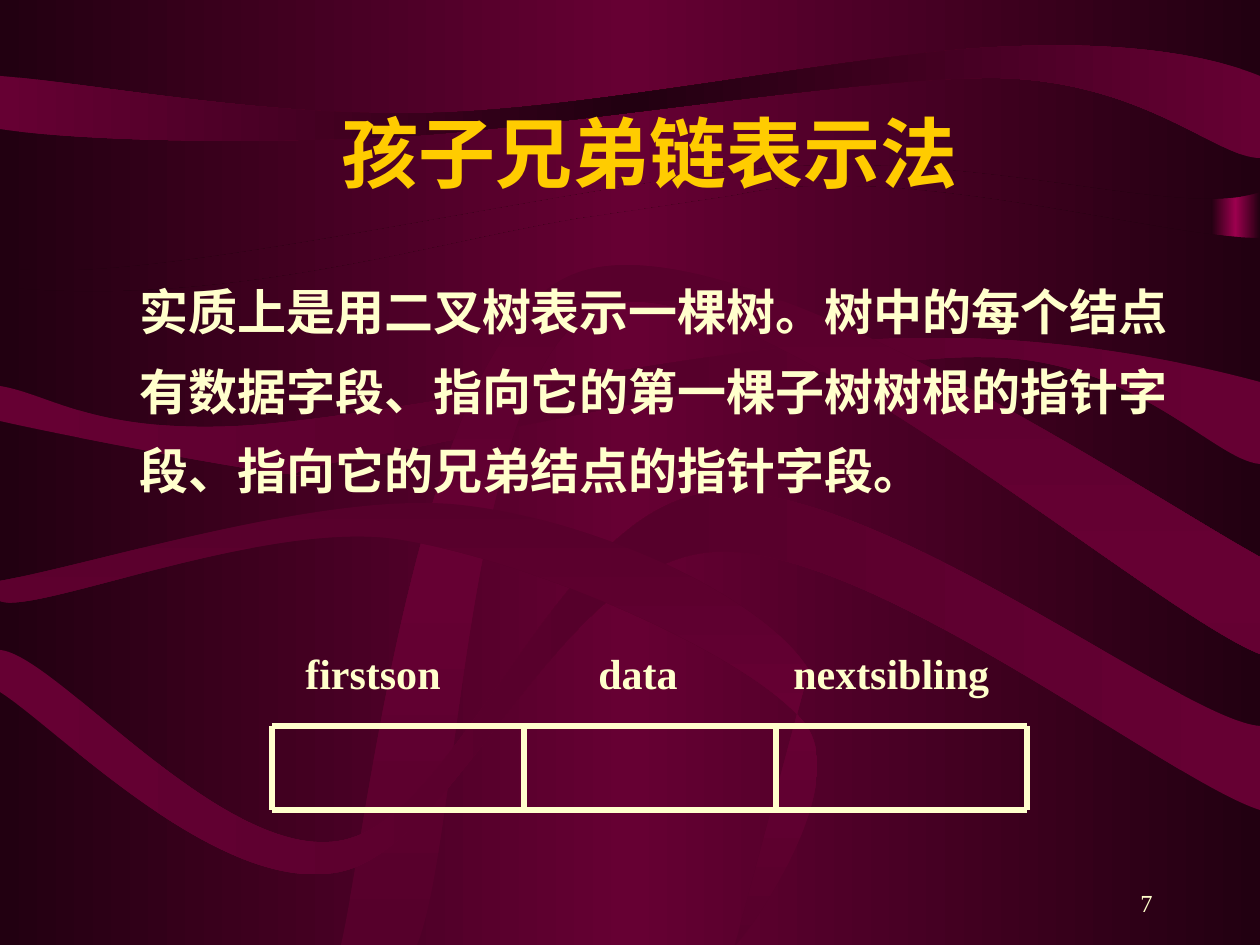
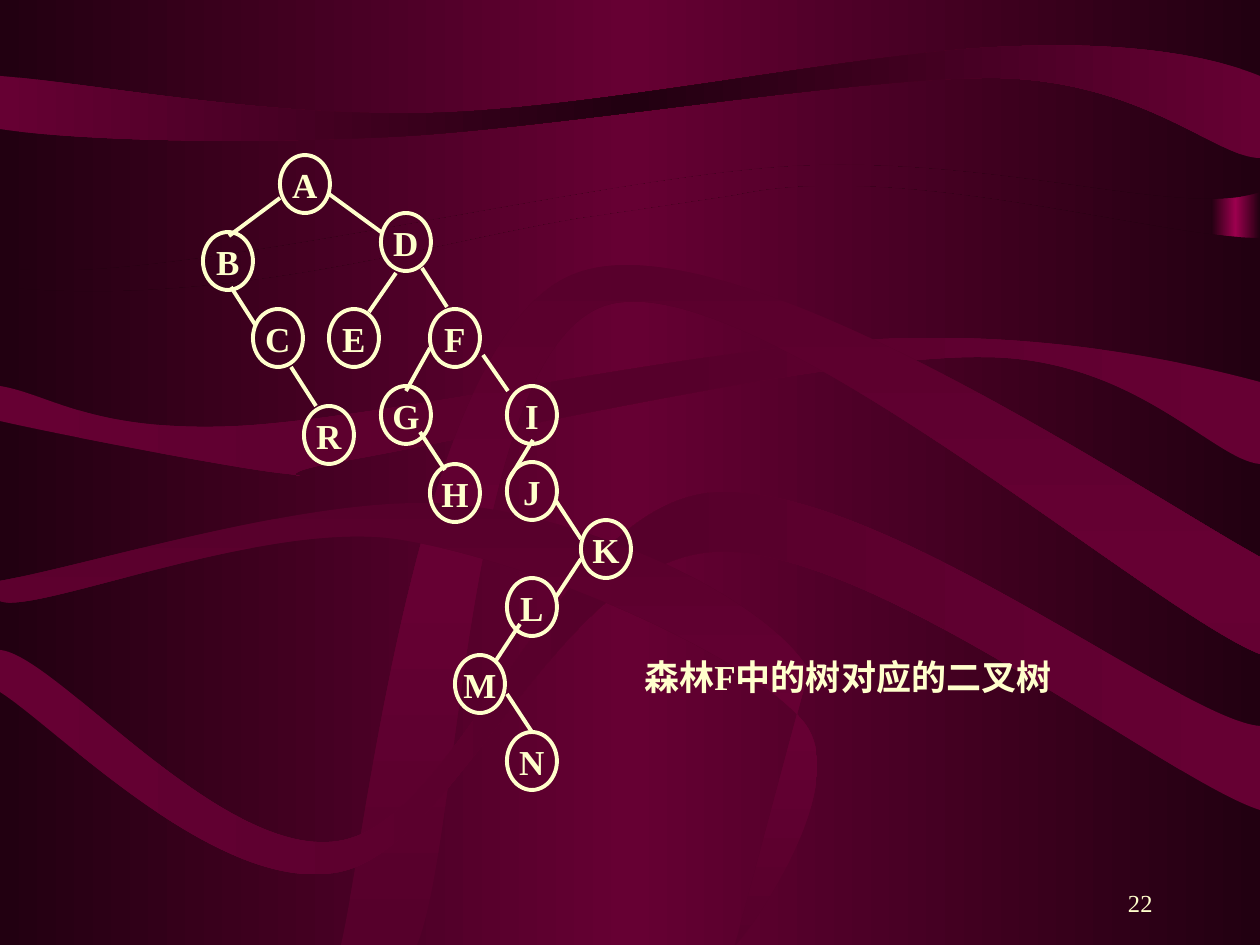
from copy import deepcopy
from itertools import product
from pptx import Presentation, util as u
from pptx.dml.color import RGBColor
from pptx.enum import shapes, text
from pptx.oxml.ns import qn

PX = 914400 / 126
W, H = 1260, 945
CREAM = RGBColor(0xFF, 0xFF, 0xCC)
GOLD = RGBColor(0xFF, 0xCC, 0x00)
DARK = RGBColor(0x22, 0x00, 0x11)
WINE = RGBColor(0x66, 0x00, 0x33)
PLUM = RGBColor(0x56, 0x00, 0x2B)
PINK = RGBColor(0x9C, 0x00, 0x4E)
SERIF, SANS = "Times New Roman", "Arial"

TITLE = "孩子兄弟链表示法"
BODY = ("实质上是用二叉树表示一棵树。树中的每个结点有数据字段、"
        "指向它的第一棵子树树根的指针字段、指向它的兄弟结点的指针字段。")
FIELDS = [("firstson", 21), ("data", 314), ("nextsibling", 509)]
CELL_X = [272, 524, 776, 1027]
CELL_Y = [726, 810]
RULES = [(272, 776), (776, 1027)]

CAPTION = "森林F中的树对应的二叉树"
NODE_W, NODE_H = 50, 58
NODES = {
    "A": (280, 155), "B": (203, 232), "C": (253, 309), "R": (304, 406),
    "F": (430, 309), "G": (381, 386), "H": (430, 464), "D": (381, 213),
    "E": (329, 309), "I": (507, 386), "J": (507, 462), "K": (581, 520),
    "L": (507, 578), "M": (455, 655), "N": (507, 732),
}
EDGES = [
    (280, 198, 229, 236), (430, 348, 406, 391), (396, 273, 369, 312),
    (533, 440, 508, 481), (231, 287, 256, 326), (291, 367, 316, 406),
    (420, 432, 445, 470), (556, 501, 581, 539), (581, 559, 556, 597),
    (520, 624, 495, 662), (507, 694, 532, 732), (329, 194, 381, 232),
    (422, 268, 447, 307), (483, 355, 508, 391),
]

GLOW = (1211, 62, 49, 435)
RIBBONS = [
    (DARK, WINE, 0, [(0, 0), (W, 0), (W, 192), (1182, 219, 998, 154, 788, 166),
                     (577, 179, 131, 294, 0, 266)]),
    (DARK, WINE, 0, [(0, 287), (224, 309, 428, 244, 577, 219),
                     (577, 219, 714, 199, 738, 195),
                     (901, 160, 1155, 238, W, 238), (W, H), (0, H)]),
    (WINE, DARK, 0, [(0, 76), (0, 129), (64, 139, 222, 145, 388, 137),
                     (554, 129, 856, 76, 1000, 78), (1145, 82, 1217, 158, W, 158),
                     (W, 76), (1216, 58, 1135, 40, 998, 47),
                     (859, 53, 601, 108, 435, 113), (268, 118, 91, 83, 0, 76)]),
    (WINE, PLUM, 0, [(0, 386), (0, 421), (47, 432, 221, 466, 280, 473),
                     (339, 479, 239, 478, 355, 459), (473, 438, 832, 355, 983, 357),
                     (1134, 357, 1213, 460, W, 464), (W, 382),
                     (1197, 365, 1053, 331, 883, 339),
                     (713, 345, 387, 418, 239, 426), (92, 433, 50, 394, 0, 386)]),
    (PLUM, WINE, 90, [(341, H), (367, 833, 418, 339, 572, 275),
                      (725, 209, 1145, 494, W, 557), (W, 654),
                      (1150, 611, 745, 258, 604, 306), (464, 355, 461, 839, 417, H)]),
    (WINE, PLUM, 0, [(0, 650), (0, 692), (57, 728, 219, 896, 339, 872),
                     (457, 849, 558, 562, 712, 552), (866, 541, 1168, 781, W, 810),
                     (W, 726), (1182, 721, 871, 475, 708, 493),
                     (556, 512, 462, 814, 344, 840), (226, 866, 57, 655, 0, 650)]),
    (PLUM, WINE, 90, [(0, 581), (0, 601), (33, 616, 262, 520, 396, 539),
                      (529, 559, 746, 653, 803, 721), (859, 788, 733, 954, 735, H),
                      (809, 670), (764, 597, 596, 520, 461, 505),
                      (326, 490, 96, 564, 0, 581)]),
]


def px(*values):
    return [u.Emu(round(v * PX)) for v in values]


def gradient(fill, owner, edge, middle, angle=0):
    fill.gradient()
    stops = owner.find(".//" + qn("a:gsLst"))
    stops.append(deepcopy(stops[0]))
    for stop, color, position in zip(fill.gradient_stops, (edge, middle, edge), (0, 0.5, 1)):
        stop.color.rgb = color
        stop.position = position
    fill.gradient_angle = angle


def ribbon(s, outline):
    points = [px(*seg[i:i + 2]) for seg in outline for i in range(0, len(seg), 2)]
    builder = s.shapes.build_freeform(*points[0])
    builder.add_line_segments(points[1:], close=True)
    sp = builder.convert_to_shape()
    steps = iter(sp.element.findall(".//" + qn("a:lnTo")))
    for seg in outline[1:]:
        step = next(steps)
        if len(seg) == 6:
            curve = step.makeelement(qn("a:cubicBezTo"), {})
            step.addprevious(curve)
            for part in (step, next(steps), next(steps)):
                curve.append(part[0])
                part.getparent().remove(part)
    return sp


def decorate_master(prs, s):
    master = prs.slide_master
    gradient(master.background.fill, master.element, DARK, WINE)
    glow = s.shapes.add_shape(shapes.MSO_SHAPE.RECTANGLE, *px(*GLOW))
    decor = [(glow, DARK, PINK, 0)]
    for edge, middle, angle, outline in RIBBONS:
        decor.append((ribbon(s, outline), edge, middle, angle))
    for i, (sp, edge, middle, angle) in enumerate(decor):
        sp.shadow.inherit = False
        gradient(sp.fill, sp.element, edge, middle, angle)
        sp.line.fill.background()
        sp.element.nvSpPr.cNvPr.id = 20 + i
        master.shapes.element.insert(2 + i, sp.element)


def write(tf, content, size, bold=True, color=CREAM, font=SERIF, align=None,
          anchor=text.MSO_ANCHOR.TOP):
    tf.word_wrap = True
    tf.auto_size = text.MSO_AUTO_SIZE.NONE
    tf.vertical_anchor = anchor
    tf.text = content
    p = tf.paragraphs[0]
    p.alignment = align
    p.space_before = u.Pt(0)
    for r in p.runs:
        r.font.name, r.font.size, r.font.bold = font, u.Pt(size), bold
        r.font.color.rgb = color
    return p


def place(sp, *box):
    sp.left, sp.top, sp.width, sp.height = px(*box)


def line(s, ends, width):
    c = s.shapes.add_connector(shapes.MSO_CONNECTOR.STRAIGHT, *px(*ends))
    c.line.color.rgb = CREAM
    c.line.width = u.Pt(width)
    spPr = c.element.spPr
    spPr.append(spPr.makeelement(qn("a:effectLst"), {}))


def page_number(s, number):
    tf = s.shapes.add_textbox(*px(903, 861, 262, 63)).text_frame
    write(tf, str(number), 14, bold=False, align=text.PP_ALIGN.RIGHT,
          anchor=text.MSO_ANCHOR.BOTTOM)


def linked_list_slide(s):
    title, body = s.shapes.title, s.placeholders[1]
    place(title, 174, 105, 951, 93)
    write(title.text_frame, TITLE, 44, color=GOLD, align=text.PP_ALIGN.CENTER,
          anchor=text.MSO_ANCHOR.MIDDLE)

    place(body, 64, 255, 1142, 251)
    p = write(body.text_frame, BODY, 28, font=SANS, align=text.PP_ALIGN.LEFT)
    p.line_spacing = 1.35
    pPr = p._p.get_or_add_pPr()
    pPr.set("marL", str(px(63)[0]))
    pPr.set("indent", "0")
    pPr.append(pPr.makeelement(qn("a:buNone"), {}))

    for y, (left, right) in product(CELL_Y, RULES):
        line(s, (left, y, right, y), 3)
    for x in CELL_X:
        line(s, (x, CELL_Y[0], x, CELL_Y[1]), 3)

    labels = s.shapes.add_textbox(*px(CELL_X[0], 641, CELL_X[-1] - CELL_X[0], 63))
    p = write(labels.text_frame, "".join("\t" + name for name, _ in FIELDS), 24)
    pPr = p._p.get_or_add_pPr()
    tabs = pPr.makeelement(qn("a:tabLst"), {})
    pPr.append(tabs)
    for _, x in FIELDS:
        tabs.append(tabs.makeelement(qn("a:tab"), {"pos": str(px(x)[0]), "algn": "l"}))


def binary_tree_slide(s):
    for name, (x, y) in NODES.items():
        sp = s.shapes.add_shape(shapes.MSO_SHAPE.OVAL, *px(x, y, NODE_W, NODE_H))
        sp.shadow.inherit = False
        sp.fill.background()
        sp.line.color.rgb = CREAM
        sp.line.width = u.Pt(2.25)
        tf = sp.text_frame
        tf.margin_left = tf.margin_right = tf.margin_top = tf.margin_bottom = 0
        write(tf, name, 20, align=text.PP_ALIGN.CENTER)
    for ends in EDGES:
        line(s, ends, 2.25)
    tf = s.shapes.add_textbox(*px(632, 655, 504, 58)).text_frame
    tf.margin_top = tf.margin_bottom = 0
    write(tf, CAPTION, 20, align=text.PP_ALIGN.JUSTIFY)


def main():
    prs = Presentation()
    prs.slide_width, prs.slide_height = px(W, H)
    pages = [(1, 7, linked_list_slide), (6, 22, binary_tree_slide)]
    for i, (layout, number, fill_slide) in enumerate(pages):
        s = prs.slides.add_slide(prs.slide_layouts[layout])
        if i == 0:
            decorate_master(prs, s)
        page_number(s, number)
        fill_slide(s)
    prs.save("out.pptx")


if __name__ == "__main__":
    main()
